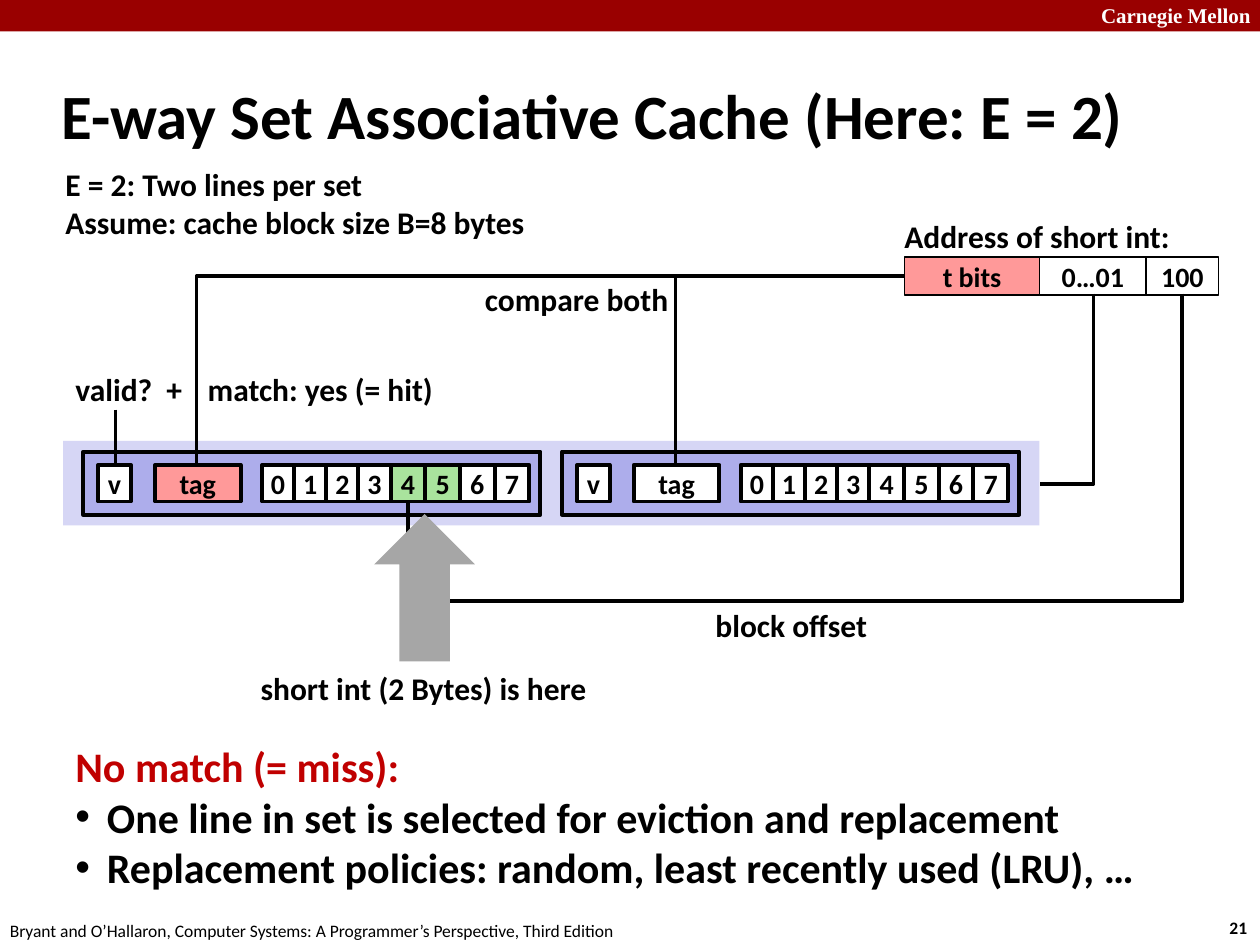
import pptx
import pptx.util
import pptx.dml.color
import pptx.enum.shapes
import pptx.enum.text
import pptx.oxml.ns
import lxml.etree

COLS, ROWS = 100, 75
WIDE, HIGH = pptx.util.Inches(10), pptx.util.Inches(7.5)
HUES = {
    "black": "000000", "white": "FFFFFF", "bar": "990000", "tag": "FF9999",
    "set": "D6D6F5", "line": "ADADEB", "hit": "A9E39D", "arrow": "A6A6A6",
    "miss": "C00000",
}
KINDS = pptx.enum.shapes.MSO_SHAPE
JOINS = pptx.enum.shapes.MSO_CONNECTOR
ALIGN = pptx.enum.text.PP_ALIGN
MID = pptx.enum.text.MSO_ANCHOR.MIDDLE
FIT = pptx.enum.text.MSO_AUTO_SIZE


def col(n):
    return round(n * WIDE / COLS)


def row(n):
    return round(n * HIGH / ROWS)


def grid(x, y, w, h):
    return col(x), row(y), col(w), row(h)


def hue(name):
    return pptx.dml.color.RGBColor.from_string(HUES[name])


def child(parent, tag, **attrs):
    return lxml.etree.SubElement(parent, pptx.oxml.ns.qn(tag), **attrs)


def style(part, size, tint="black", bold=True, face="Calibri"):
    for run in part.runs:
        font = run.font
        font.size, font.bold, font.name = pptx.util.Pt(size), bold, face
        font.color.rgb = hue(tint)


def label(slide, box, text, size=18, wrap=False, **look):
    frame = slide.shapes.add_textbox(*grid(*box)).text_frame
    frame.text = text
    frame.word_wrap = wrap
    frame.auto_size = FIT.SHAPE_TO_FIT_TEXT
    for part in frame.paragraphs:
        style(part, size, **look)
    return frame


def block(slide, box, fill, line=0, text="", kind=KINDS.RECTANGLE):
    shape = slide.shapes.add_shape(kind, *grid(*box))
    shape.shadow.inherit = False
    shape.fill.solid()
    shape.fill.fore_color.rgb = hue(fill)
    if line:
        shape.line.color.rgb = hue("black")
        shape.line.width = pptx.util.Pt(line)
    else:
        shape.line.fill.background()
    if text:
        frame = shape.text_frame
        frame.text = text
        frame.word_wrap = False
        frame.vertical_anchor = MID
        frame.paragraphs[0].alignment = ALIGN.CENTER
        style(frame.paragraphs[0], 16)


def wire(slide, start, end, kind="line"):
    join = JOINS.STRAIGHT if kind == "line" else JOINS.ELBOW
    link = slide.shapes.add_connector(
        join, col(start[0]), row(start[1]), col(end[0]), row(end[1]))
    link.line.color.rgb = hue("black")
    link.line.width = pptx.util.Pt(2)
    props = link._element.spPr
    child(props, "a:effectLst")
    props.find(pptx.oxml.ns.qn("a:prstGeom")).set("prst", kind)
    return props


def drop(slide, start, end, kind, bend=None):
    (x, y), (left, base) = start, end
    mid, half = (x + left) / 2, (base - y) / 2
    level, side = (y + base) / 2, (x - left) / 2
    props = wire(slide, (mid - half, level - side),
                 (mid + half, level + side), kind)
    props.find(pptx.oxml.ns.qn("a:xfrm")).set("rot", "5400000")
    if bend:
        shape = props.find(pptx.oxml.ns.qn("a:prstGeom"))
        guides = shape.find(pptx.oxml.ns.qn("a:avLst"))
        child(guides, "a:gd", name="adj1", fmla=f"val {round(bend * 100000)}")


def frame_page(slide, box):
    x, y, w, h = box
    block(slide, (x, y, w, 2.5), "bar")
    label(slide, (x + w - 13.6, y - 0.3, 14.3, 3), "Carnegie Mellon", 12,
          wrap=True, tint="white", face="Times New Roman")
    label(slide, (x + w - 3.4, y + h - 2.7, 3.7, 2.7), "21", 10)
    label(slide, (x - 0.2, y + h - 2.5, 50.8, 2.7),
          "Bryant and O’Hallaron, Computer Systems: "
          "A Programmer’s Perspective, Third Edition", 10, bold=False)


def head(slide, box):
    title = slide.shapes.title
    title.left, title.top, title.width, title.height = grid(*box)
    frame = title.text_frame
    frame.text = "E-way Set Associative Cache (Here: E = 2)"
    frame.word_wrap = True
    frame.auto_size = FIT.NONE
    frame.vertical_anchor = MID
    part = frame.paragraphs[0]
    part.alignment = ALIGN.LEFT
    style(part, 36)


def address(slide, box):
    x, y, w, h = box
    label(slide, (x - 1, y - 3.7, 23.3, 4), "Address of short int:")
    for text, share, fill in (("t bits", 0.43, "tag"),
                              ("0…01", 0.34, "white"),
                              ("100", 0.23, "white")):
        block(slide, (x, y, w * share, h), fill, 1, text)
        x += w * share


def cache_line(slide, box, tag="white", hits=()):
    x, y, w, h = box
    block(slide, box, "line", 2.25)
    top, tall = y + 1.05, 2.9
    block(slide, (x + 1.2, top, 2.6, tall), "white", 2.25, "v")
    block(slide, (x + 5.7, top, 6.8, tall), tag, 2.25, "tag")
    left = x + 14.2
    for byte in range(8):
        wide = 2.55 if byte < 4 else 2.75
        fill = "hit" if byte in hits else "white"
        block(slide, (left, top, wide, tall), fill, 2.25, str(byte))
        left += wide


def cache_set(slide, box):
    x, y, w, h = box
    block(slide, box, "set")
    cache_line(slide, (x + 1.6, y + 0.85, 36.3, 5), "tag", (4, 5))
    cache_line(slide, (x + 39.6, y + 0.85, 36.3, 5))


def lookup(slide, box):
    x, y, w, h = box
    low = y + 15
    drop(slide, (x + 81.8, y + 1.4), (x + 77.5, y + 16.5), "bentConnector2")
    for tag in (48.6, 10.6):
        wire(slide, (x + 66.8, y), (x + tag, low), "bentConnector2")
    label(slide, (x + 32.5, y - 0.2, 16.7, 4), "compare both")
    wire(slide, (x + 4.15, y + 10.6), (x + 4.15, low))
    label(slide, (x, y + 7, 11.2, 4), "valid?  +")
    label(slide, (x + 10.5, y + 7, 20.1, 4), "match: yes (= hit)")
    drop(slide, (x + 88.8, y + 1.4), (x + 27.4, y + 17.9),
         "bentConnector3", 1.48)
    label(slide, (x + 50.8, y + 25.7, 14.2, 4), "block offset")
    block(slide, (x + 24.7, y + 18.9, 8, 11.7), "arrow", kind=KINDS.UP_ARROW)
    label(slide, (x + 14.7, y + 30.7, 28.1, 4), "short int (2 Bytes) is here")


def misses(slide, box):
    frame = label(slide, box, "No match (= miss):\n"
                  "One line in set is selected for eviction and replacement\n"
                  "Replacement policies: random, least recently used (LRU), …",
                  24)
    style(frame.paragraphs[0], 24, "miss")
    for part in frame.paragraphs[1:]:
        props = part._p.get_or_add_pPr()
        props.set("marL", str(col(2.5)))
        props.set("indent", str(-col(2.5)))
        child(props, "a:buFont", typeface="Arial")
        child(props, "a:buChar", char="•")


def main():
    deck = pptx.Presentation()
    deck.slide_width, deck.slide_height = WIDE, HIGH
    slide = deck.slides.add_slide(deck.slide_layouts[5])
    frame_page(slide, (0, 0, COLS, ROWS))
    head(slide, (3.9, 4.9, 90.2, 8.3))
    label(slide, (4.2, 12.6, 38.8, 7.1),
          "E = 2: Two lines per set\nAssume: cache block size B=8 bytes")
    address(slide, (71.8, 20.4, 24.9, 3))
    cache_set(slide, (5, 35, 77.5, 6.7))
    lookup(slide, (5, 21.9, 91.7, 34.7))
    misses(slide, (5, 58.3, 87.3, 13.1))
    deck.save("out.pptx")


if __name__ == "__main__":
    main()
